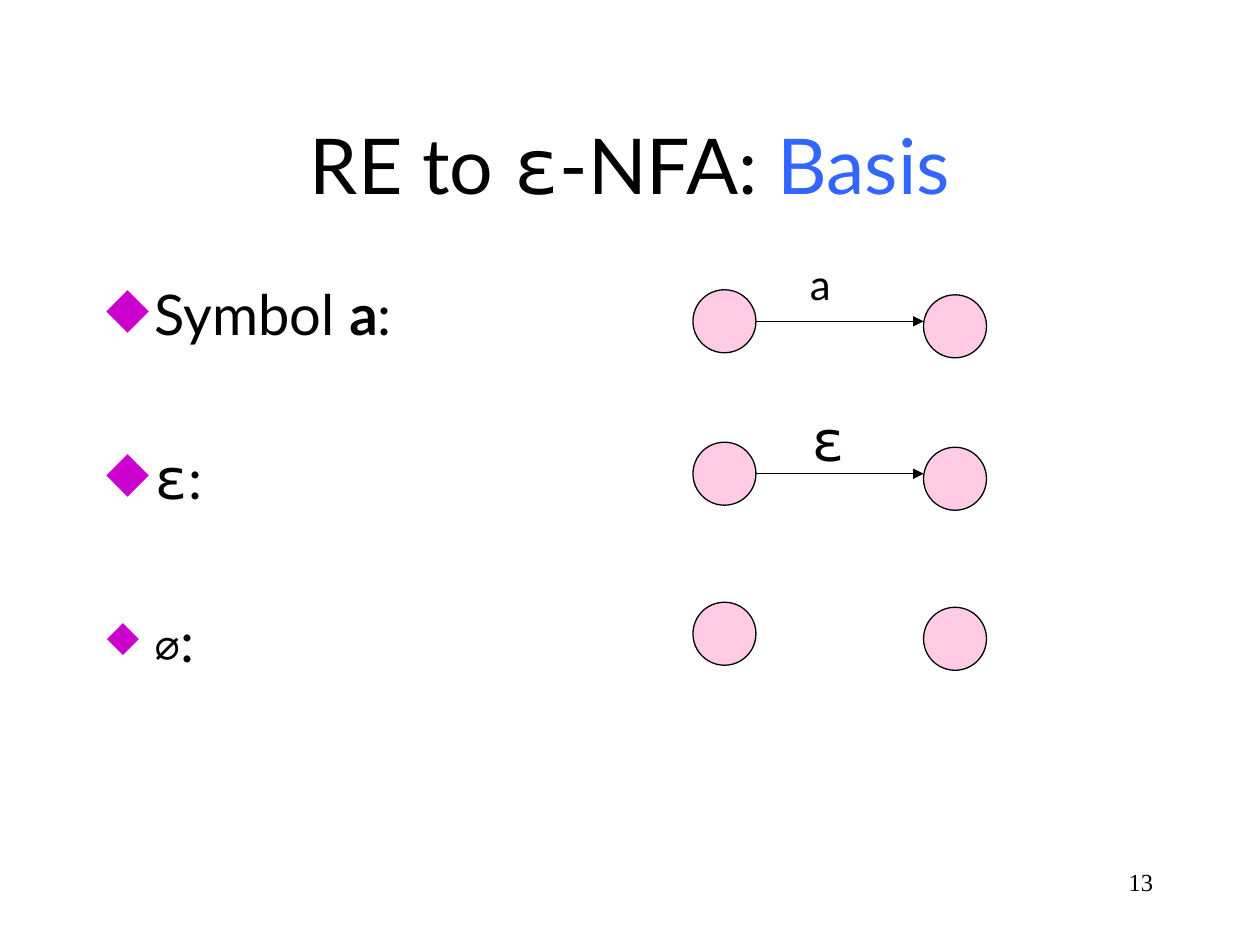
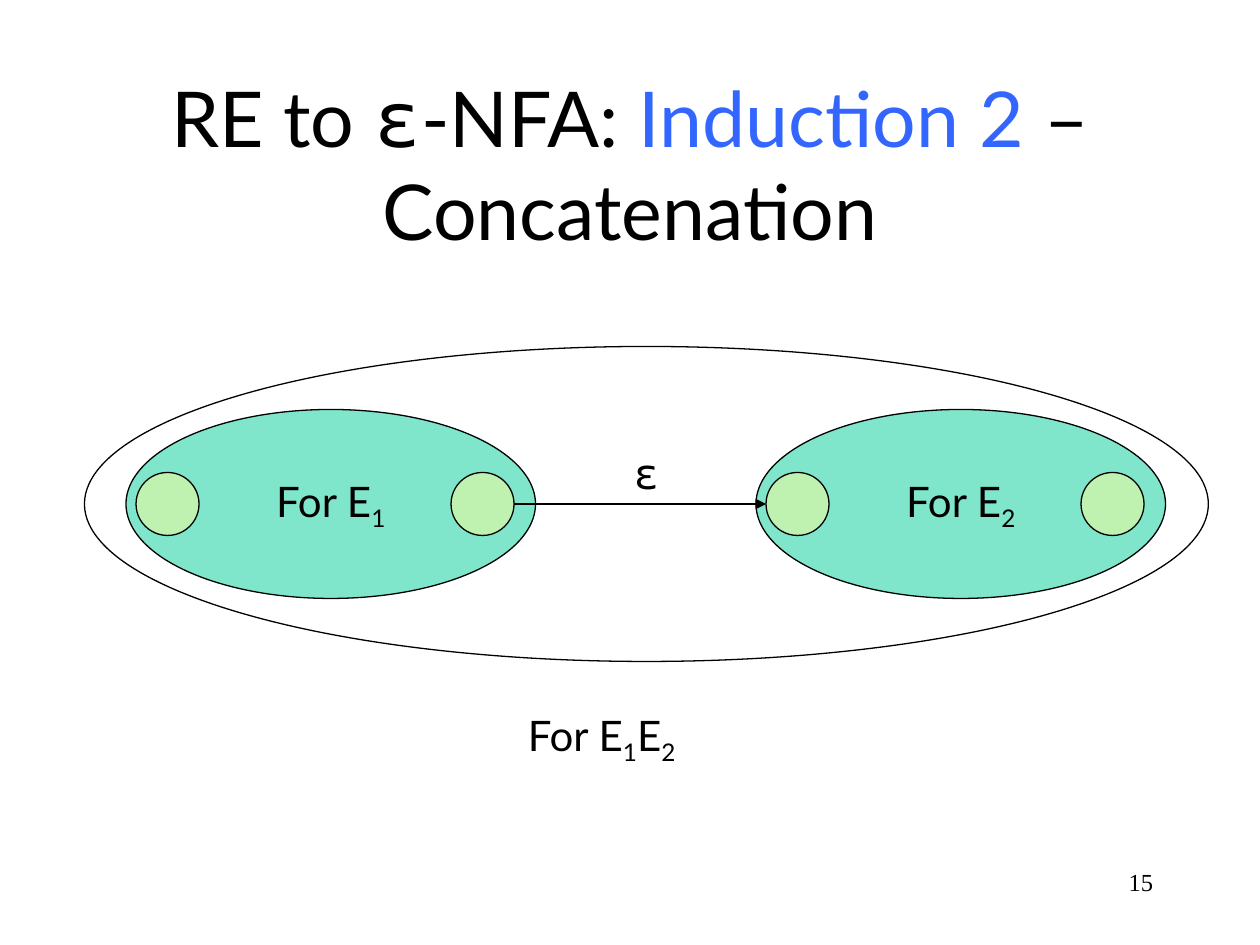
from lxml.etree import SubElement as Sub
from pptx import Presentation
from pptx.dml.color import RGBColor as Rgb
from pptx.enum.shapes import MSO_CONNECTOR as Conn, MSO_SHAPE as Kind
from pptx.enum.text import MSO_ANCHOR as Anchor, PP_ALIGN as Align
from pptx.oxml.ns import qn
from pptx.util import Inches, Pt

HUES = {
    "ink": "000000", "blue": "3366FF", "mark": "CC00CC",
    "pink": "FF99CC", "teal": "00CC99", "lime": "FFFF99",
}
SANS, MONO, SERIF = "Lato", "DejaVu Sans Mono", "Times New Roman"
DOT = 0.5


def hue(name):
    return Rgb.from_string(HUES[name])


def write(para, parts, size, face=SANS):
    """Add (text, style) runs; style is "", "blue", "bold", "sub" or "small"."""
    for text, style in parts:
        run = para.add_run()
        run.text = text
        font = run.font
        font.name = MONO if text in "ε∅" else face
        font.size = Pt(24 if style == "small" else size)
        font.color.rgb = hue("blue" if style == "blue" else "ink")
        font.bold = style == "bold"
        if style == "sub":
            run._r.get_or_add_rPr().set("baseline", "-25000")


def add_box(slide, x, y, w, h, wrap=True):
    box = slide.shapes.add_textbox(*map(Inches, (x, y, w, h)))
    box.text_frame.word_wrap = wrap
    return box.text_frame


def add_label(slide, x, y, w, h, parts, size=24):
    frame = add_box(slide, x, y, w, h, wrap=False)
    write(frame.paragraphs[0], parts, size)


def add_frame(deck, number, topic, x, w):
    """Make a slide with its title, centred in the given span, and its number."""
    slide = deck.slides.add_slide(deck.slide_layouts[6])
    foot = add_box(slide, 7.17, 6.83, 2.08, 0.5).paragraphs[0]
    foot.alignment = Align.RIGHT
    write(foot, [(str(number), "")], 14, SERIF)
    title = add_box(slide, x, 0.67, w, 1.25)
    title.vertical_anchor = Anchor.MIDDLE
    head = title.paragraphs[0]
    head.alignment = Align.CENTER
    write(head, [("RE to ", ""), ("ε", ""), ("-NFA: ", "")] + topic, 44)
    return slide


def add_oval(slide, x, y, w, h, fill=None):
    oval = slide.shapes.add_shape(Kind.OVAL, *map(Inches, (x, y, w, h)))
    oval.shadow.inherit = False
    oval.line.color.rgb = hue("ink")
    oval.line.width = Pt(0.75)
    if fill:
        oval.fill.solid()
        oval.fill.fore_color.rgb = hue(fill)
        tint = oval._element.spPr.find(qn("a:solidFill"))[0]
        Sub(tint, qn("a:alpha"), val="50000")
    else:
        oval.fill.background()
    return oval


def add_state(slide, x, y, fill):
    add_oval(slide, x, y, DOT, DOT, fill)


def add_arrow(slide, x, end, y):
    ends = map(Inches, (x, y, end, y))
    arrow = slide.shapes.add_connector(Conn.STRAIGHT, *ends)
    arrow.line.color.rgb = hue("ink")
    arrow.line.width = Pt(0.75)
    Sub(arrow.line._get_or_add_ln(), qn("a:tailEnd"), type="triangle")
    Sub(arrow._element.spPr, qn("a:effectLst"))


def add_list(slide, items):
    frame = add_box(slide, 0.75, 2.17, 8.5, 4.5)
    for i, parts in enumerate(items):
        para = frame.add_paragraph() if i else frame.paragraphs[0]
        props = para._p.get_or_add_pPr()
        props.set("marL", str(Inches(0.38)))
        props.set("indent", str(-Inches(0.38)))
        tint = Sub(props, qn("a:buClr"))
        Sub(tint, qn("a:srgbClr"), val=HUES["mark"])
        Sub(props, qn("a:buChar"), char="◆")
        if i:
            para.space_before = Pt(55)
        write(para, parts, 32)


def add_part(slide, x, index):
    """Draw the automaton of one subexpression, with its start and end states."""
    oval = add_oval(slide, x, 3.25, 3.25, 1.5, "teal")
    frame = oval.text_frame
    frame.word_wrap = False
    frame.vertical_anchor = Anchor.MIDDLE
    para = frame.paragraphs[0]
    para.alignment = Align.CENTER
    write(para, [("For E", ""), (index, "sub")], 24)
    for shift in (2.58, 0.08):
        add_state(slide, x + shift, 3.75, "lime")


def add_basis(deck):
    slide = add_frame(deck, 13, [("Basis", "blue")], 0.75, 8.5)
    add_list(slide, [
        [("Symbol ", ""), ("a", "bold"), (":", "")],
        [("ε", ""), (":", "")],
        [("∅", "small"), (":", "")],
    ])
    left, right = 5.5, 7.33
    for y, linked in ((2.3, True), (3.51, True), (4.78, False)):
        add_state(slide, left, y, "pink")
        add_state(slide, right, y + 0.04, "pink")
        if linked:
            add_arrow(slide, left + DOT, right, y + DOT / 2)
    add_label(slide, 6.33, 2, 0.38, 0.5, [("a", "")])
    add_label(slide, 6.34, 3.17, 0.41, 0.64, [("ε", "")], 32)


def add_concat(deck):
    topic = [("Induction 2", "blue"), (" – Concatenation", "")]
    slide = add_frame(deck, 15, topic, 0, 10)
    add_part(slide, 1, "1")
    add_part(slide, 6, "2")
    add_oval(slide, 0.67, 2.75, 8.92, 2.5)
    whole = [("For E", ""), ("1", "sub"), ("E", ""), ("2", "sub")]
    add_label(slide, 4.09, 5.58, 1.39, 0.56, whole)
    add_arrow(slide, 4.08, 6.08, 4)
    add_label(slide, 4.93, 3.5, 0.36, 0.5, [("ε", "")])


def main():
    deck = Presentation()
    deck.slide_width, deck.slide_height = Inches(10), Inches(7.5)
    add_basis(deck)
    add_concat(deck)
    deck.save("out.pptx")


if __name__ == "__main__":
    main()
